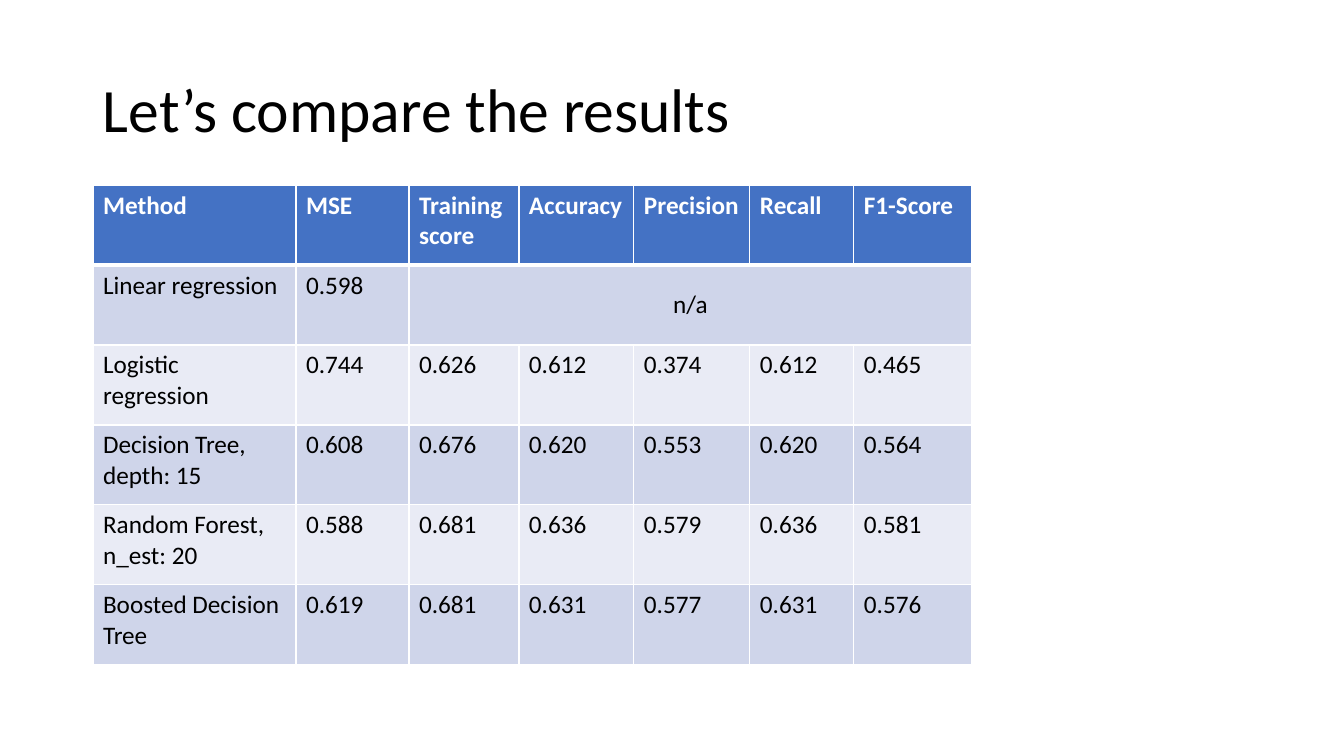
import pptx
import pptx.dml.color
import pptx.enum.text
import pptx.oxml
import pptx.oxml.ns
import pptx.util

ALIGN = pptx.enum.text.PP_ALIGN
ANCHOR = pptx.enum.text.MSO_ANCHOR

HEADS = ["Method", "MSE", "Training score", "Accuracy", "Precision", "Recall", "F1-Score"]
SCORES = [
    ["Linear regression", "0.598", "n/a"],
    ["Logistic regression", "0.744", "0.626", "0.612", "0.374", "0.612", "0.465"],
    ["Decision Tree, depth: 15", "0.608", "0.676", "0.620", "0.553", "0.620", "0.564"],
    ["Random Forest, n_est: 20", "0.588", "0.681", "0.636", "0.579", "0.636", "0.581"],
    ["Boosted Decision Tree", "0.619", "0.681", "0.631", "0.577", "0.631", "0.576"],
]
WIDTHS = [203, 113, 110, 115, 116, 104, 118]


def px(count):
    return pptx.util.Emu(round(count * 914400 / 100.8))


def color(code):
    return pptx.dml.color.RGBColor.from_string(code)


class Deck:
    font = "Calibri"
    ink = "000000"
    white = "FFFFFF"
    head = "4472C4"
    bands = ["CFD5EA", "E9EBF5"]

    def __init__(self, width, height):
        self.show = pptx.Presentation()
        self.show.slide_width = px(width)
        self.show.slide_height = px(height)
        self.slide = self.show.slides.add_slide(self.show.slide_layouts[6])

    def add_text(self, para, text, size, ink, bold=False):
        run = para.add_run()
        run.text = text
        run.font.name = self.font
        run.font.size = pptx.util.Pt(size)
        run.font.bold = bold
        run.font.color.rgb = color(ink)

    def title(self, text, left, top, width, height):
        box = self.slide.shapes.add_textbox(px(left), px(top), px(width), px(height))
        frame = box.text_frame
        frame.word_wrap = True
        frame.vertical_anchor = ANCHOR.MIDDLE
        para = frame.paragraphs[0]
        para.line_spacing = 0.9
        self.add_text(para, text, 44, self.ink)

    def edge(self, cell, side, points):
        space = pptx.oxml.ns.nsdecls("a")
        line = pptx.oxml.parse_xml(
            f'<a:ln{side} {space} w="{pptx.util.Pt(points)}"><a:solidFill>'
            f'<a:srgbClr val="{self.white}"/></a:solidFill></a:ln{side}>')
        cell._tc.get_or_add_tcPr().append(line)

    def paint(self, cell, row):
        """Draw the borders, thick below the header, and then the band fill."""
        thick = {(0, "B"), (1, "T")}
        for side in "LRTB":
            self.edge(cell, side, 3 if (row, side) in thick else 1)
        cell.fill.solid()
        cell.fill.fore_color.rgb = color(self.bands[(row - 1) % 2] if row else self.head)

    def table(self, rows, widths, left, top, height):
        """Build a banded table; a short row's last cell spans to the right edge."""
        frame = self.slide.shapes.add_table(
            len(rows), len(widths), px(left), px(top), px(sum(widths)), px(height * len(rows)))
        grid = frame.table
        for col, width in zip(grid.columns, widths):
            col.width = px(width)
        for r, texts in enumerate(rows):
            grid.rows[r].height = px(height)
            for cell in grid.rows[r].cells:
                self.paint(cell, r)
            for c, text in enumerate(texts):
                cell = grid.cell(r, c)
                para = cell.text_frame.paragraphs[0]
                self.add_text(para, text, 18, self.ink if r else self.white, r == 0)
            if len(texts) < len(widths):
                cell.merge(grid.cell(r, len(widths) - 1))
                cell.vertical_anchor = ANCHOR.MIDDLE
                para.alignment = ALIGN.CENTER


def main():
    deck = Deck(1344, 756)
    deck.title("Let’s compare the results", 93, 40, 1159, 146)
    deck.table([HEADS] + SCORES, WIDTHS, 93, 185, 80)
    deck.show.save("out.pptx")


if __name__ == "__main__":
    main()
